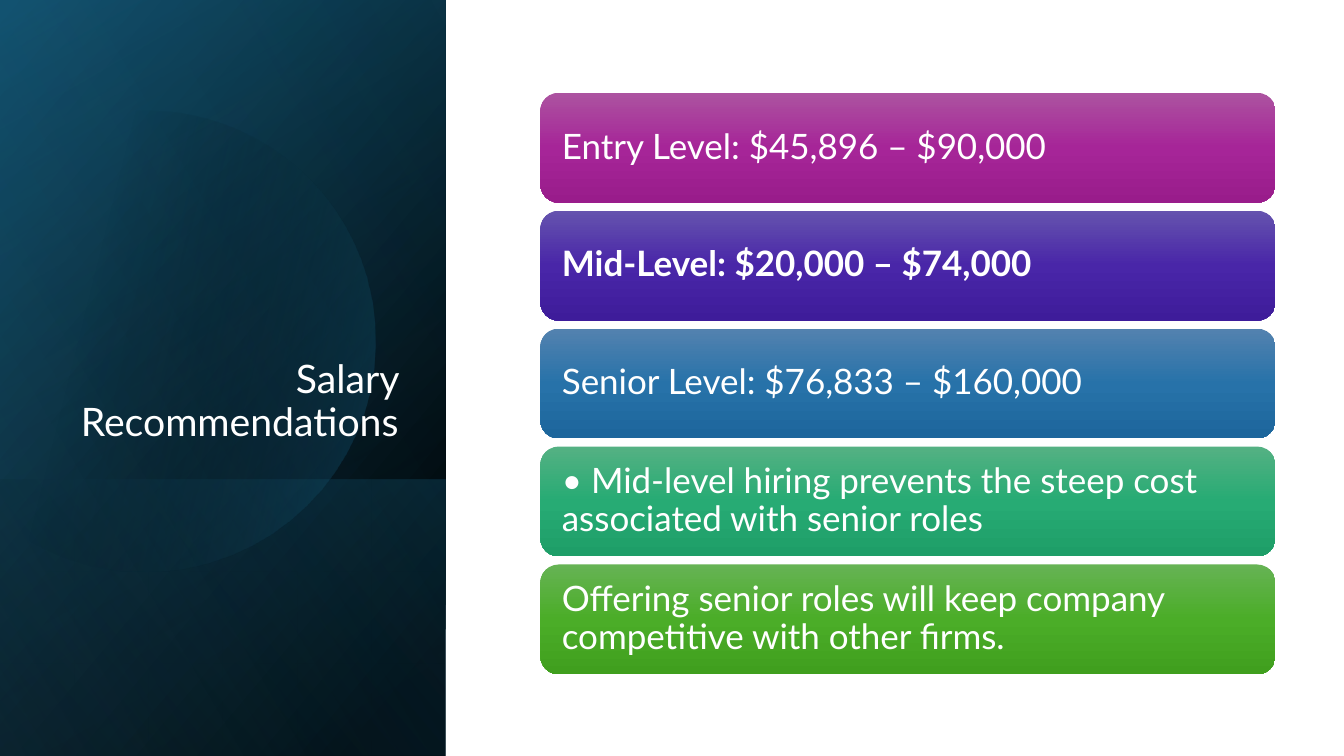
from pptx import Presentation
from pptx import util as u
from pptx.dml.color import RGBColor
from pptx.enum import shapes, text
from pptx.oxml import parse_xml
from pptx.oxml.ns import qn

BLACK = RGBColor(0x00, 0x00, 0x00)
WHITE = RGBColor(0xFF, 0xFF, 0xFF)
NAVY = RGBColor(0x10, 0x48, 0x62)
TEAL = RGBColor(0x15, 0x60, 0x82)
SKY = RGBColor(0x46, 0xB1, 0xE1)
A_NS = "http://schemas.openxmlformats.org/drawingml/2006/main"


def fill_gradient(sp, stops, angle):
    sp.shadow.inherit = False
    sp.line.fill.background()
    sp.fill.background()
    gs = "".join(
        f'<a:gs pos="{pos * 1000}"><a:srgbClr val="{color}">'
        f'<a:alpha val="{alpha * 1000}"/></a:srgbClr></a:gs>'
        for pos, color, alpha in stops)
    grad = parse_xml(
        f'<a:gradFill xmlns:a="{A_NS}" rotWithShape="1"><a:gsLst>{gs}</a:gsLst>'
        f'<a:lin ang="{angle * 60000}" scaled="0"/></a:gradFill>')
    spPr = sp.element.spPr
    spPr.replace(spPr.find(qn("a:noFill")), grad)


def write_text(sp, wording, size, anchor, align, bold=None):
    tf = sp.text_frame
    tf.word_wrap = True
    tf.vertical_anchor = anchor
    tf.text = wording
    p = tf.paragraphs[0]
    p.alignment = align
    p.line_spacing = 0.9
    font = p.runs[0].font
    font.name = "Lato"
    font.size = u.Pt(size)
    font.bold = bold
    font.color.rgb = WHITE


prs = Presentation()
prs.slide_width = u.Inches(13.33)
prs.slide_height = u.Inches(7.5)
s = prs.slides.add_slide(prs.slide_layouts[6])

FULL = (-1.54, 1.54, 7.5, 4.42)
LOWER = (0.84, 3.92, 2.74, 4.42)
panels = [
    (FULL, [(8, BLACK, 100), (100, NAVY, 100)], 50),
    (FULL, [(0, BLACK, 0), (99, TEAL, 46)], 30),
    (LOWER, [(2, TEAL, 29), (100, BLACK, 30)], 130),
    (FULL, [(0, BLACK, 0), (99, SKY, 11)], 120),
]
circle_curves = [
    [(1.49, 1.1), (2.46, 1.12), (3.35, 1.77), (3.63, 2.75)],
    [(3.63, 2.75), (3.98, 3.97), (3.28, 5.23), (2.07, 5.58)],
    [(2.07, 5.58), (1.31, 5.8), (0.53, 5.61), (-0.03, 5.14)],
    [(-0.03, 5.14), (-0.15, 5.03), (-0.15, 1.75), (0, 1.61)],
    [(0, 1.61), (0.23, 1.42), (0.5, 1.28), (0.8, 1.19)],
    [(0.8, 1.19), (1.03, 1.13), (1.26, 1.1), (1.49, 1.1)],
]
STEPS = 16

for i, (box, stops, angle) in enumerate(panels):
    if i == 3:
        points = []
        for a, b, c, d in circle_curves:
            for k in range(1, STEPS + 1):
                t = k / STEPS
                points.append(tuple(
                    u.Inches((1 - t) ** 3 * a[n] + 3 * (1 - t) ** 2 * t * b[n]
                             + 3 * (1 - t) * t ** 2 * c[n] + t ** 3 * d[n])
                    for n in (0, 1)))
        fb = s.shapes.build_freeform(*points[-1])
        fb.add_line_segments(points, close=True)
        circle = fb.convert_to_shape()
        fill_gradient(circle, [(29, BLACK, 0), (100, TEAL, 43)], 14)
    panel = s.shapes.add_shape(shapes.MSO_SHAPE.RECTANGLE, *map(u.Inches, box))
    panel.rotation = 90
    panel.element.spPr.xfrm.set("flipH", "1")
    fill_gradient(panel, stops, angle)

title = s.shapes.add_textbox(u.Inches(0.64), u.Inches(1.84), u.Inches(3.41), u.Inches(2.62))
write_text(title, "Salary Recommendations", 28, text.MSO_ANCHOR.BOTTOM, text.PP_ALIGN.RIGHT)

cards = [
    ("Entry Level: $45,896 – $90,000", ("AC53A0", "A62598", "991C8B"), False),
    ("Mid-Level: $20,000 – $74,000", ("6553AE", "4926A8", "3E1C9A"), True),
    ("Senior Level: $76,833 – $160,000", ("5382AF", "2772A9", "1D669C"), False),
    ("• Mid-level hiring prevents the steep cost associated with senior roles",
     ("54B183", "27AB74", "1E9E68"), False),
    ("Offering senior roles will keep company competitive with other firms.",
     ("66B354", "4BAD28", "409F1E"), False),
]
for i, (wording, colors, bold) in enumerate(cards):
    card = s.shapes.add_shape(
        shapes.MSO_SHAPE.ROUNDED_RECTANGLE,
        u.Inches(5.36), u.Inches(0.92 + 1.17 * i), u.Inches(7.29), u.Inches(1.09))
    stops = [(pos, RGBColor.from_string(c), 100) for pos, c in zip((0, 50, 100), colors)]
    fill_gradient(card, stops, 90)
    card.text_frame.margin_left = card.text_frame.margin_right = u.Inches(0.16)
    write_text(card, wording, 25, text.MSO_ANCHOR.MIDDLE, text.PP_ALIGN.LEFT, bold)

prs.save("out.pptx")
